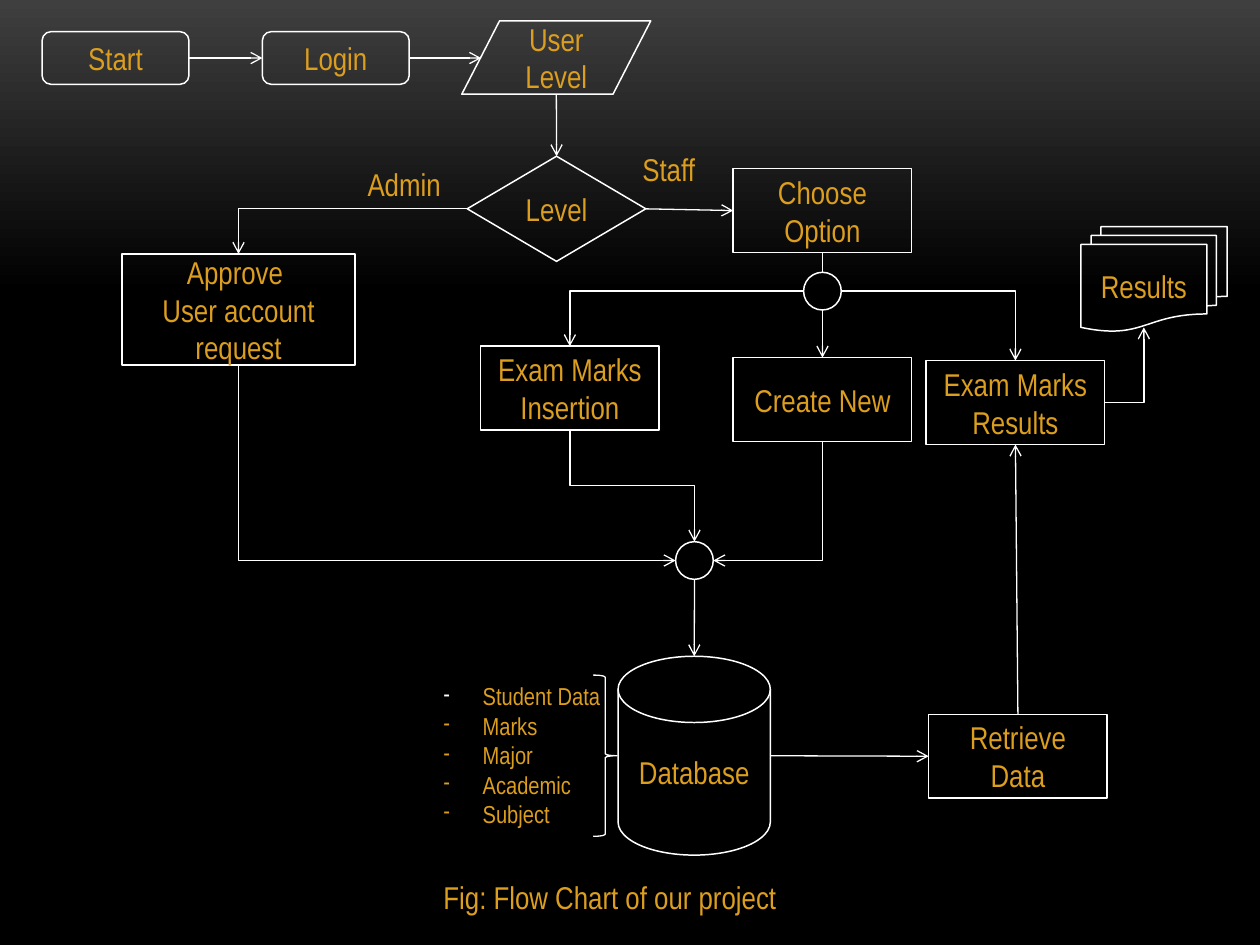
import pptx
import pptx.dml.color
import pptx.enum.shapes
import pptx.enum.text
import pptx.oxml
import pptx.oxml.ns
import pptx.util
from lxml import etree

Cm, Pt = pptx.util.Cm, pptx.util.Pt
RGBColor = pptx.dml.color.RGBColor
SHAPE = pptx.enum.shapes.MSO_SHAPE
CONNECTOR = pptx.enum.shapes.MSO_CONNECTOR
ALIGN = pptx.enum.text.PP_ALIGN
ANCHOR = pptx.enum.text.MSO_ANCHOR
qn = pptx.oxml.ns.qn

WHITE = RGBColor(0xFF, 0xFF, 0xFF)
GOLD = RGBColor(0xDC, 0x9E, 0x1F)
GREY = RGBColor(0x3F, 0x3F, 0x3F)
BLACK = RGBColor(0x00, 0x00, 0x00)

TOP, LEFT, BOTTOM, RIGHT = range(4)
# Shapes whose connection sites are exactly the four side middles
FOUR_SIDED = (SHAPE.RECTANGLE, SHAPE.DIAMOND, SHAPE.FLOWCHART_ALTERNATE_PROCESS)


class FlowChart:
    font = "Arial Narrow"

    def __init__(self, slide):
        self.s = slide

    def background(self):
        fill = self.s.background.fill
        fill.gradient()
        fill.gradient_angle = 270
        for stop, color, position in zip(fill.gradient_stops, (GREY, BLACK), (0, 0.31)):
            stop.color.rgb = color
            stop.position = position

    def add_lines(self, tf, lines, size, align):
        tf.word_wrap = True
        for i, line in enumerate(lines):
            p = tf.paragraphs[0] if i == 0 else tf.add_paragraph()
            p.alignment = align
            r = p.add_run()
            r.text = line
            r.font.name = self.font
            r.font.size = Pt(size)
            r.font.color.rgb = GOLD

    def shape(self, kind, x, y, w, h, *lines, weight=0.85):
        sp = self.s.shapes.add_shape(kind, Cm(x), Cm(y), Cm(w), Cm(h))
        sp.shadow.inherit = False
        sp.fill.background()
        sp.line.color.rgb = WHITE
        sp.line.width = Pt(weight)
        sp.text_frame.vertical_anchor = ANCHOR.MIDDLE
        self.add_lines(sp.text_frame, lines, 18, ALIGN.CENTER)
        return sp

    def step(self, x, y, *lines):
        return self.shape(SHAPE.RECTANGLE, x, y, 3.6, 1.69, *lines)

    def junction(self, x, y):
        return self.shape(SHAPE.FLOWCHART_CONNECTOR, x, y, 0.76, 0.76)

    def text(self, x, y, w, h, *lines, size=18, align=ALIGN.LEFT):
        sp = self.s.shapes.add_textbox(Cm(x), Cm(y), Cm(w), Cm(h))
        self.add_lines(sp.text_frame, lines, size, align)
        return sp

    def dash_list(self, x, y, w, h, *lines):
        sp = self.text(x, y, w, h, *lines, size=14)
        for i, p in enumerate(sp.text_frame.paragraphs):
            pPr = p._p.get_or_add_pPr()
            pPr.set("marL", str(Cm(0.79)))
            pPr.set("indent", str(-Cm(0.79)))
            color = etree.SubElement(etree.SubElement(pPr, qn("a:buClr")), qn("a:srgbClr"))
            color.set("val", str(GOLD if i else WHITE))
            etree.SubElement(pPr, qn("a:buFont")).set("typeface", self.font)
            etree.SubElement(pPr, qn("a:buChar")).set("char", "-")

    def point(self, end):
        """Position of an end, given as (shape, side) or as (x, y) in cm."""
        sp, side = end
        if isinstance(sp, (int, float)):
            return Cm(sp), Cm(side)
        x, y = sp.left + sp.width // 2, sp.top + sp.height // 2
        return {TOP: (x, sp.top), LEFT: (sp.left, y),
                BOTTOM: (x, sp.top + sp.height), RIGHT: (sp.left + sp.width, y)}[side]

    def connector(self, kind, begin, end, arrow=True):
        c = self.s.shapes.add_connector(kind, *begin, *end)
        c.line.color.rgb = WHITE
        c.line.width = Pt(0.75)
        spPr = c._element.spPr
        if arrow:
            etree.SubElement(spPr.find(qn("a:ln")), qn("a:tailEnd")).set("type", "arrow")
        etree.SubElement(spPr, qn("a:effectLst"))
        return c

    def straight(self, begin, end, arrow=True):
        c = self.connector(CONNECTOR.STRAIGHT, self.point(begin), self.point(end), arrow)
        for (sp, side), join in ((begin, c.begin_connect), (end, c.end_connect)):
            if not isinstance(sp, (int, float)) and sp.auto_shape_type in FOUR_SIDED:
                join(sp, side)

    def elbow(self, begin, end, down_first=False, bends=1):
        (x1, y1), (x2, y2) = self.point(begin), self.point(end)
        if down_first:
            # Lay the route out sideways around its centre, then turn it 90 degrees
            cx, cy, dx, dy = (x1 + x2) // 2, (y1 + y2) // 2, (x2 - x1) // 2, (y2 - y1) // 2
            x1, y1, x2, y2 = cx - dy, cy + dx, cx + dy, cy - dx
        c = self.connector(CONNECTOR.ELBOW, (x1, y1), (x2, y2))
        spPr = c._element.spPr
        spPr.find(qn("a:prstGeom")).set("prst", f"bentConnector{bends + 1}")
        if down_first:
            spPr.find(qn("a:xfrm")).set("rot", str(90 * 60000))


def main():
    prs = pptx.Presentation()
    prs.slide_width, prs.slide_height = Cm(25.4), Cm(19.05)
    fc = FlowChart(prs.slides.add_slide(prs.slide_layouts[6]))
    fc.background()

    # Entry steps
    start = fc.shape(SHAPE.FLOWCHART_ALTERNATE_PROCESS, 0.85, 0.64, 2.96, 1.06, "Start")
    login = fc.shape(SHAPE.FLOWCHART_ALTERNATE_PROCESS, 5.29, 0.64, 2.96, 1.06, "Login")
    user_level = fc.shape(SHAPE.FLOWCHART_DATA, 9.31, 0.42, 3.81, 1.48, "User Level")
    level = fc.shape(SHAPE.DIAMOND, 9.42, 3.15, 3.6, 2.12, "Level")

    # Admin and staff branches
    fc.text(7.16, 3.2, 2.11, 1.02, "Admin")
    fc.text(12.7, 2.9, 1.85, 1.02, "Staff")
    approve = fc.shape(SHAPE.RECTANGLE, 2.46, 5.12, 4.7, 2.24,
                       "Approve ", "User account request")
    choose = fc.step(14.78, 3.4, "Choose Option")
    split = fc.junction(16.2, 5.49)
    insertion = fc.step(9.69, 6.98, "Exam Marks Insertion")
    create = fc.step(14.78, 7.21, "Create New")
    exam_results = fc.step(18.67, 7.27, "Exam Marks", "Results")
    fc.shape(SHAPE.FLOWCHART_MULTIDOCUMENT, 21.79, 4.57, 2.95, 2.11, "Results")

    # Database and its contents
    merge = fc.junction(13.62, 10.92)
    database = fc.shape(SHAPE.FLOWCHART_MAGNETIC_DISK, 12.46, 13.23, 3.07, 4.01, "Database")
    fc.dash_list(8.69, 13.61, 4.65, 3.25,
                 "Student Data", "Marks", "Major", "Academic", "Subject")
    fc.shape(SHAPE.RIGHT_BRACE, 11.96, 13.61, 0.48, 3.25, weight=0.75)
    retrieve = fc.step(18.72, 14.4, "Retrieve Data")

    # Straight arrows
    for begin, end in (
        ((start, RIGHT), (login, LEFT)),
        ((login, RIGHT), (9.7, 1.17)),
        ((user_level, BOTTOM), (level, TOP)),
        ((level, RIGHT), (choose, LEFT)),
        ((split, BOTTOM), (create, TOP)),
        ((merge, BOTTOM), (database, TOP)),
        ((database, RIGHT), (retrieve, LEFT)),
        ((retrieve, TOP), (exam_results, BOTTOM)),
    ):
        fc.straight(begin, end)
    fc.straight((choose, BOTTOM), (split, TOP), arrow=False)

    # Bent arrows
    fc.elbow((level, LEFT), (approve, TOP))
    fc.elbow((split, LEFT), (insertion, TOP))
    fc.elbow((split, RIGHT), (exam_results, TOP))
    fc.elbow((exam_results, RIGHT), (23.06, 6.6))
    fc.elbow((approve, BOTTOM), (merge, LEFT), down_first=True)
    fc.elbow((create, BOTTOM), (merge, RIGHT), down_first=True)
    fc.elbow((insertion, BOTTOM), (merge, TOP), down_first=True, bends=2)

    # Caption
    fc.text(3.38, 17.58, 17.98, 1.02, "Fig: Flow Chart of our project ", align=ALIGN.CENTER)

    prs.save("out.pptx")


if __name__ == "__main__":
    main()
